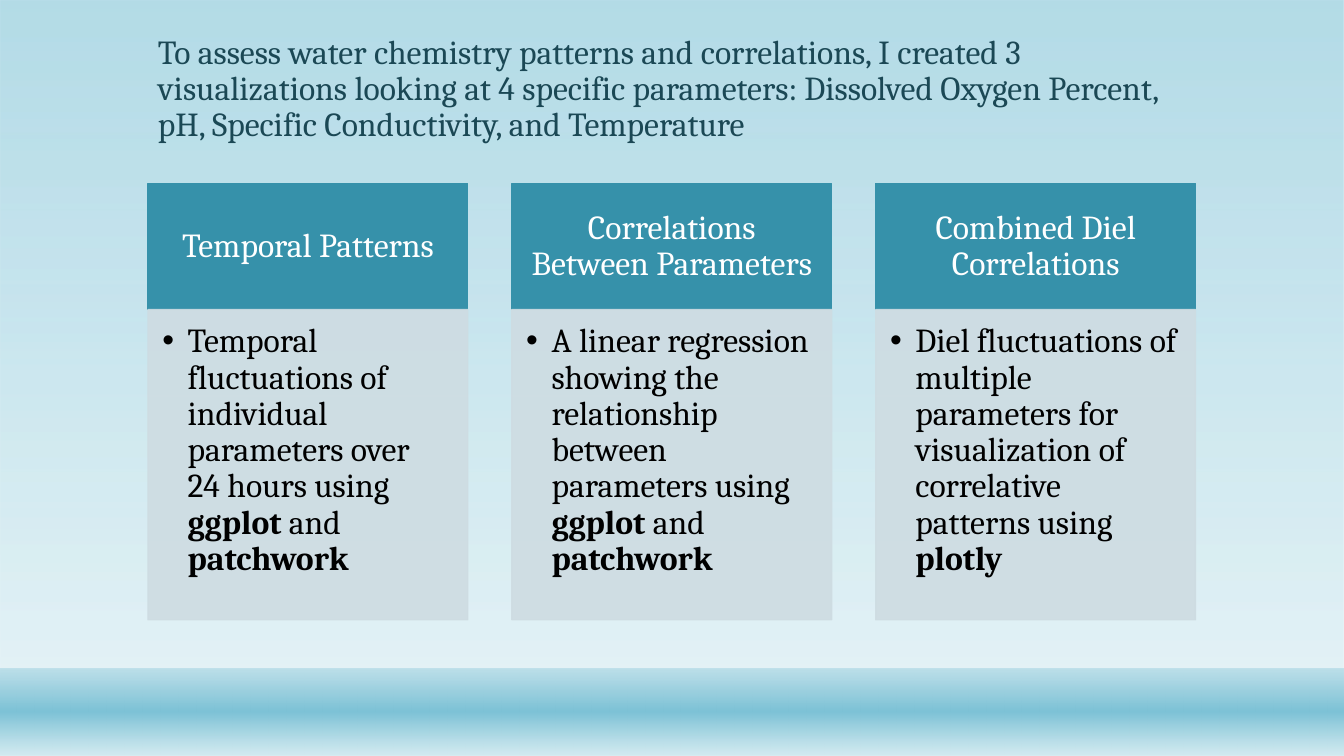
from lxml import etree
from pptx import Presentation
from pptx.dml.color import RGBColor
from pptx.enum.shapes import MSO_SHAPE
from pptx.enum.text import MSO_ANCHOR, MSO_AUTO_SIZE, PP_ALIGN
from pptx.oxml.ns import qn
from pptx.util import Cm, Pt

RECT = MSO_SHAPE.RECTANGLE
TOP, MIDDLE, BOTTOM = MSO_ANCHOR.TOP, MSO_ANCHOR.MIDDLE, MSO_ANCHOR.BOTTOM
LEFT, CENTER = PP_ALIGN.LEFT, PP_ALIGN.CENTER
NO_AUTOFIT = MSO_AUTO_SIZE.NONE

FONT = "Cambria"
SLIDE_W, SLIDE_H = 33.87, 19.05
COLUMN_LEFT, COLUMN_W, COLUMN_PITCH = 3.73, 8.06, 9.17
HEADER_TOP, HEADER_H, BODY_H = 4.62, 3.18, 7.82

TITLE = ("To assess water chemistry patterns and correlations, I created 3 "
         "visualizations looking at 4 specific parameters: Dissolved Oxygen "
         "Percent, pH, Specific Conductivity, and Temperature")
COLUMNS = [
    ("Temporal Patterns",
     [("Temporal fluctuations of individual parameters over 24 hours using ", False),
      ("ggplot", True), (" and ", False), ("patchwork", True)]),
    ("Correlations Between Parameters",
     [("A linear regression showing the relationship between parameters using ", False),
      ("ggplot", True), (" and ", False), ("patchwork", True)]),
    ("Combined Diel Correlations",
     [("Diel fluctuations of multiple parameters for visualization of "
       "correlative patterns using ", False),
      ("plotly", True)]),
]


def rgb(value):
    return RGBColor.from_string(value)


def add_alpha(color, percent):
    etree.SubElement(color, qn("a:alpha"), val=str(percent * 1000))


def add_rect(s, left, top, width, height):
    sp = s.shapes.add_shape(RECT, Cm(left), Cm(top), Cm(width), Cm(height))
    sp.shadow.inherit = False
    return sp


def add_gradient_band(s, top, height, stops):
    sp = add_rect(s, 0, top, SLIDE_W, height)
    sp.line.fill.background()
    sp.fill.gradient()
    gradient = sp._element.spPr.find(qn("a:gradFill"))
    for child in list(gradient):
        gradient.remove(child)
    stop_list = etree.SubElement(gradient, qn("a:gsLst"))
    for position, color, opacity in stops:
        stop = etree.SubElement(stop_list, qn("a:gs"), pos=str(position * 1000))
        add_alpha(etree.SubElement(stop, qn("a:srgbClr"), val=color), opacity)
    etree.SubElement(gradient, qn("a:lin"), ang="5400000", scaled="0")


def add_panel(s, left, top, height, color, opacity=100):
    sp = add_rect(s, left, top, COLUMN_W, height)
    sp.fill.solid()
    sp.fill.fore_color.rgb = rgb(color)
    sp.line.color.rgb = rgb(color)
    sp.line.width = Pt(1)
    if opacity < 100:
        for fill_color in sp._element.spPr.iter(qn("a:srgbClr")):
            add_alpha(fill_color, opacity)
    return sp


def add_bullet(p, indent):
    pPr = p._p.get_or_add_pPr()
    pPr.set("marL", str(indent))
    pPr.set("indent", str(-indent))
    etree.SubElement(pPr, qn("a:buFont"), typeface="Arial")
    etree.SubElement(pPr, qn("a:buChar"), char="•")


def write(sp, runs, color="000000", align=LEFT, anchor=TOP,
          insets=(0.25, 0.13, 0.25, 0.13), bullet=False):
    tf = sp.text_frame
    tf.word_wrap = True
    tf.auto_size = NO_AUTOFIT
    tf.vertical_anchor = anchor
    tf.margin_left, tf.margin_top, tf.margin_right, tf.margin_bottom = map(Cm, insets)
    p = tf.paragraphs[0]
    if bullet:
        add_bullet(p, Cm(0.64))
    p.alignment = align
    p.line_spacing = 0.9
    p.space_before = Pt(0)
    for text, bold in runs:
        r = p.add_run()
        r.text = text
        r.font.name = FONT
        r.font.size = Pt(24)
        r.font.bold = bold
        r.font.color.rgb = rgb(color)


def add_title(s):
    title = s.shapes.title
    title.left, title.top, title.width, title.height = map(Cm, (3.73, 0.74, 26.42, 3.02))
    s.shapes._spTree.append(title._element)
    write(title, [(TITLE, False)], color="1B4855", anchor=BOTTOM)


def add_column(s, index, heading, runs):
    left = COLUMN_LEFT + index * COLUMN_PITCH
    header = add_panel(s, left, HEADER_TOP, HEADER_H, "3691AA")
    write(header, [(heading, False)], color="FFFFFF", align=CENTER, anchor=MIDDLE,
          insets=(0.48, 0.28, 0.48, 0.28))
    body = add_panel(s, left, HEADER_TOP + HEADER_H, BODY_H, "CEDCE2", opacity=90)
    write(body, runs, insets=(0.36, 0.36, 0.48, 0.53), bullet=True)


def main():
    prs = Presentation()
    prs.slide_width, prs.slide_height = Cm(SLIDE_W), Cm(SLIDE_H)
    s = prs.slides.add_slide(prs.slide_layouts[5])
    add_gradient_band(s, 0, SLIDE_H, [(0, "7DC2D6", 58), (88, "D4EBF1", 65)])
    add_gradient_band(s, 16.84, 2.21,
                      [(1, "7DC2D6", 38), (49, "7DC2D6", 100), (100, "D4EBF1", 89)])
    add_title(s)
    for index, (heading, runs) in enumerate(COLUMNS):
        add_column(s, index, heading, runs)
    prs.save("out.pptx")


if __name__ == "__main__":
    main()
